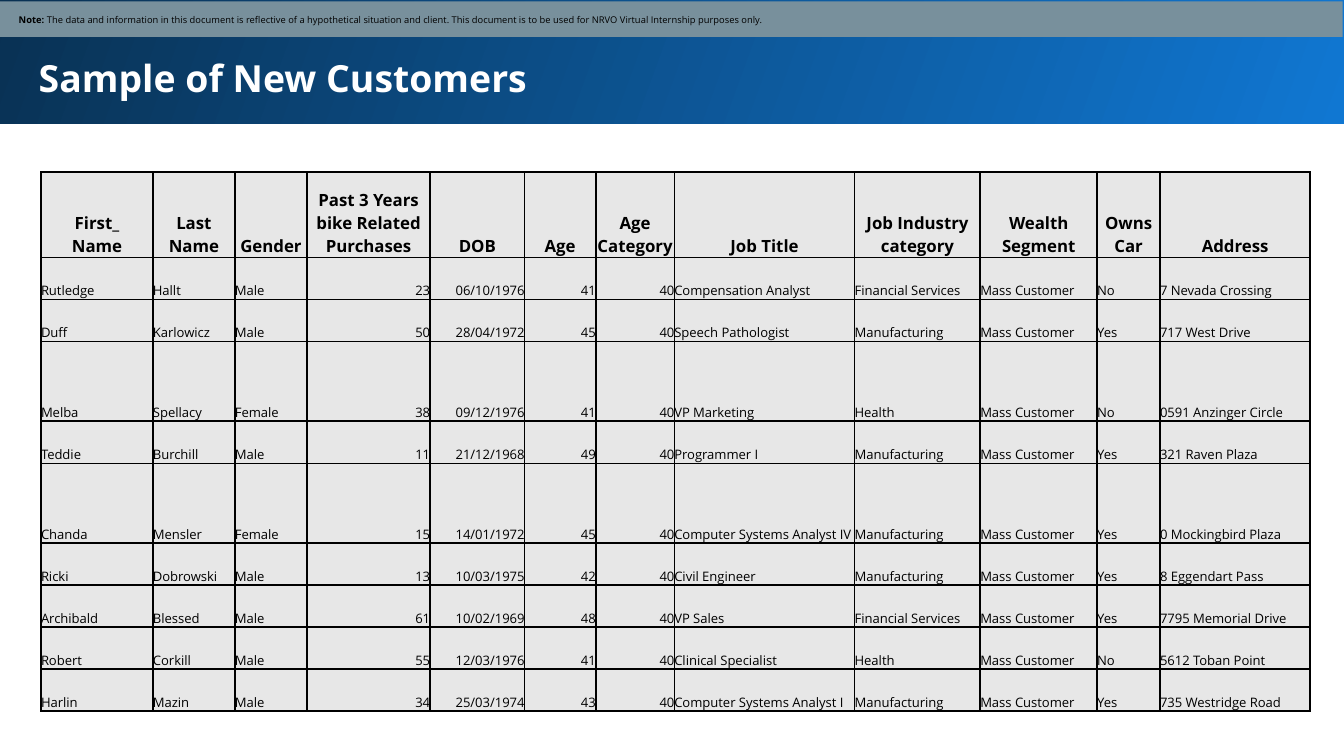
import pptx
import pptx.dml.color
import pptx.enum.shapes
import pptx.enum.text
import pptx.oxml
import pptx.oxml.ns
import pptx.util

ALIGN = pptx.enum.text.PP_ALIGN
ANCHOR = pptx.enum.text.MSO_ANCHOR
FONT = "Open Sans"
SLIDE_WIDTH = pptx.util.Inches(10)
SLIDE_HEIGHT = SLIDE_WIDTH * 9 // 16
COLOURS = {
    "bright": "1077D2",
    "navy": "093153",
    "note": "78909C",
    "cell": "E7E7E7",
    "ink": "000000",
    "paper": "FFFFFF",
}
COLUMN_SHARES = [8.33, 6.1, 5.37, 9.16, 7.03, 5.3, 5.85, 13.42, 9.35, 8.7, 4.68, 11.18]
HEADER_SHARE, ROW_SHARE, TALL_ROW_SHARE = 11.28, 5.56, 10.58
TALL_ROWS = {3, 5}
NUMBER_COLUMNS = {3, 4, 5, 6}
HEADINGS = [
    "First_\nName", "Last\nName", "Gender", "Past 3 Years bike Related Purchases",
    "DOB", "Age", "Age Category", "Job Title", "Job Industry\ncategory",
    "Wealth\nSegment", "Owns\nCar", "Address",
]
AGE_CATEGORY, WEALTH_SEGMENT = "40", "Mass Customer"
CUSTOMERS = [
    ("Rutledge", "Hallt", "Male", "23", "06/10/1976", "41",
     "Compensation Analyst", "Financial Services", "No", "7 Nevada Crossing"),
    ("Duff", "Karlowicz", "Male", "50", "28/04/1972", "45",
     "Speech Pathologist", "Manufacturing", "Yes", "717 West Drive"),
    ("Melba", "Spellacy", "Female", "38", "09/12/1976", "41",
     "VP Marketing", "Health", "No", "0591 Anzinger Circle"),
    ("Teddie", "Burchill", "Male", "11", "21/12/1968", "49",
     "Programmer I", "Manufacturing", "Yes", "321 Raven Plaza"),
    ("Chanda", "Mensler", "Female", "15", "14/01/1972", "45",
     "Computer Systems Analyst IV", "Manufacturing", "Yes", "0 Mockingbird Plaza"),
    ("Ricki", "Dobrowski", "Male", "13", "10/03/1975", "42",
     "Civil Engineer", "Manufacturing", "Yes", "8 Eggendart Pass"),
    ("Archibald", "Blessed", "Male", "61", "10/02/1969", "48",
     "VP Sales", "Financial Services", "Yes", "7795 Memorial Drive"),
    ("Robert", "Corkill", "Male", "55", "12/03/1976", "41",
     "Clinical Specialist", "Health", "No", "5612 Toban Point"),
    ("Harlin", "Mazin", "Male", "34", "25/03/1974", "43",
     "Computer Systems Analyst I", "Manufacturing", "Yes", "735 Westridge Road"),
]


def colour(name):
    """Return the named colour."""
    return pptx.dml.color.RGBColor.from_string(COLOURS[name])


def across(percent):
    """Turn a percentage of the slide's width into a length."""
    return round(SLIDE_WIDTH * percent / 100)


def down(percent):
    """Turn a percentage of the slide's height into a length."""
    return round(SLIDE_HEIGHT * percent / 100)


def area(left, top, width, height):
    """Turn percentages of the slide into a position and size."""
    return across(left), down(top), across(width), down(height)


def add_run(paragraph, text, size, ink="ink", bold=False):
    """Add one formatted run to a paragraph."""
    run = paragraph.add_run()
    run.text = text
    run.font.name = FONT
    run.font.size = pptx.util.Pt(size)
    run.font.bold = bold
    run.font.color.rgb = colour(ink)


def set_margins(frame, left, others):
    """Set the inner margins of a text frame or cell in inches."""
    frame.margin_left = pptx.util.Inches(left)
    frame.margin_top = frame.margin_right = frame.margin_bottom = pptx.util.Inches(others)


def add_band(slide, *shares):
    """Add a rectangle without outline or shadow."""
    band = slide.shapes.add_shape(pptx.enum.shapes.MSO_SHAPE.RECTANGLE, *area(*shares))
    band.shadow.inherit = False
    band.line.fill.background()
    return band


def add_header(slide):
    """Add the gradient band and the title on it."""
    band = add_band(slide, -0.5, 0, 100.5, 16.4)
    band.fill.gradient()
    band.fill.gradient_angle = 160
    for stop, name in zip(band.fill.gradient_stops, ("bright", "navy")):
        stop.color.rgb = colour(name)
    title = slide.shapes.add_textbox(*area(1.9, 5.5, 93.7, 9.6)).text_frame
    title.word_wrap = True
    set_margins(title, 0.1, 0.1)
    add_run(title.paragraphs[0], "Sample of New Customers", 20, "paper", True)


def add_note(slide):
    """Add the disclaimer strip along the top edge."""
    strip = add_band(slide, -0.4, 0.2, 100.3, 4.7)
    strip.fill.solid()
    strip.fill.fore_color.rgb = colour("note")
    frame = strip.text_frame
    frame.word_wrap = True
    frame.vertical_anchor = ANCHOR.MIDDLE
    set_margins(frame, 0.18, 0.05)
    paragraph = frame.paragraphs[0]
    paragraph.alignment = ALIGN.LEFT
    add_run(paragraph, "Note: ", 5, bold=True)
    add_run(paragraph, "The data and information in this document is reflective of a "
            "hypothetical situation and client. This document is to be used for "
            "NRVO Virtual Internship purposes only.", 5)


def add_borders(cell):
    """Draw a thin line on all four sides of a cell."""
    properties = cell._tc.get_or_add_tcPr()
    for index, side in enumerate(("lnL", "lnR", "lnT", "lnB")):
        properties.insert(index, pptx.oxml.parse_xml(
            f'<a:{side} {pptx.oxml.ns.nsdecls("a")} w="{pptx.util.Pt(1)}"><a:solidFill>'
            f'<a:srgbClr val="{COLOURS["ink"]}"/></a:solidFill></a:{side}>'))


def fill_cell(cell, text, alignment, size, bold):
    """Write, align, fill and outline one table cell."""
    set_margins(cell, 0, 0)
    cell.vertical_anchor = ANCHOR.BOTTOM
    cell.fill.solid()
    cell.fill.fore_color.rgb = colour("cell")
    add_borders(cell)
    frame = cell.text_frame
    for index, line in enumerate(text.split("\n")):
        paragraph = frame.add_paragraph() if index else frame.paragraphs[0]
        paragraph.alignment = alignment
        add_run(paragraph, line, size, bold=bold)


def add_customer_table(slide):
    """Add the table of customers under its heading row."""
    records = [HEADINGS] + [
        (*customer[:6], AGE_CATEGORY, *customer[6:8], WEALTH_SEGMENT, *customer[8:])
        for customer in CUSTOMERS
    ]
    row_shares = [HEADER_SHARE] + [
        TALL_ROW_SHARE if row in TALL_ROWS else ROW_SHARE for row in range(1, len(records))
    ]
    table = slide.shapes.add_table(
        len(records), len(HEADINGS),
        *area(3.05, 22.76, sum(COLUMN_SHARES), sum(row_shares))).table
    for column, share in zip(table.columns, COLUMN_SHARES):
        column.width = across(share)
    for row, share in zip(table.rows, row_shares):
        row.height = down(share)
    for row, record in enumerate(records):
        for column, text in enumerate(record):
            cell = table.cell(row, column)
            if row == 0:
                fill_cell(cell, text, ALIGN.CENTER, 9, True)
            else:
                alignment = ALIGN.RIGHT if column in NUMBER_COLUMNS else ALIGN.LEFT
                fill_cell(cell, text, alignment, 7, False)


def main():
    """Build and save the slide."""
    presentation = pptx.Presentation()
    presentation.slide_width = SLIDE_WIDTH
    presentation.slide_height = SLIDE_HEIGHT
    slide = presentation.slides.add_slide(presentation.slide_layouts[6])
    add_header(slide)
    add_note(slide)
    add_customer_table(slide)
    presentation.save("out.pptx")


if __name__ == "__main__":
    main()
